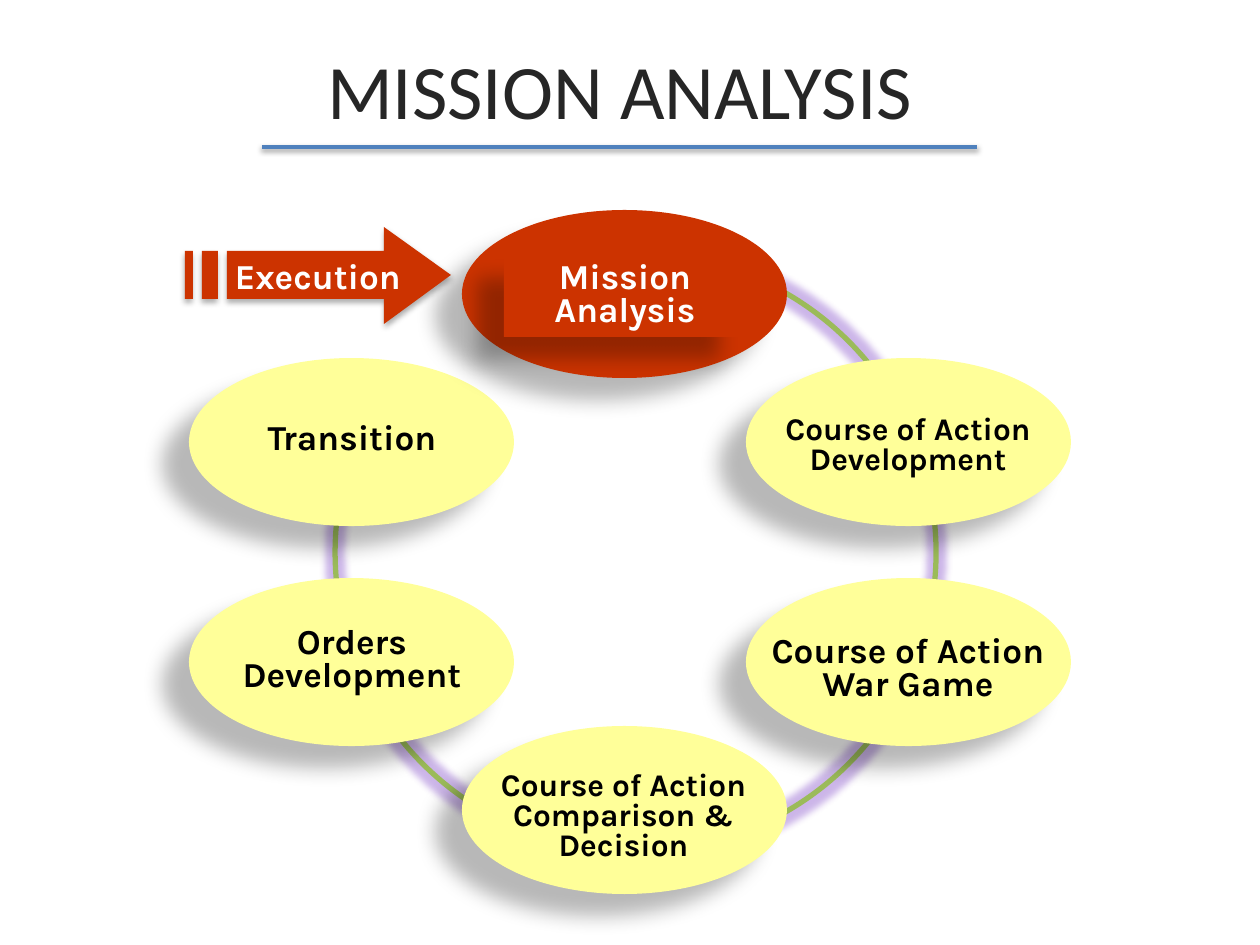
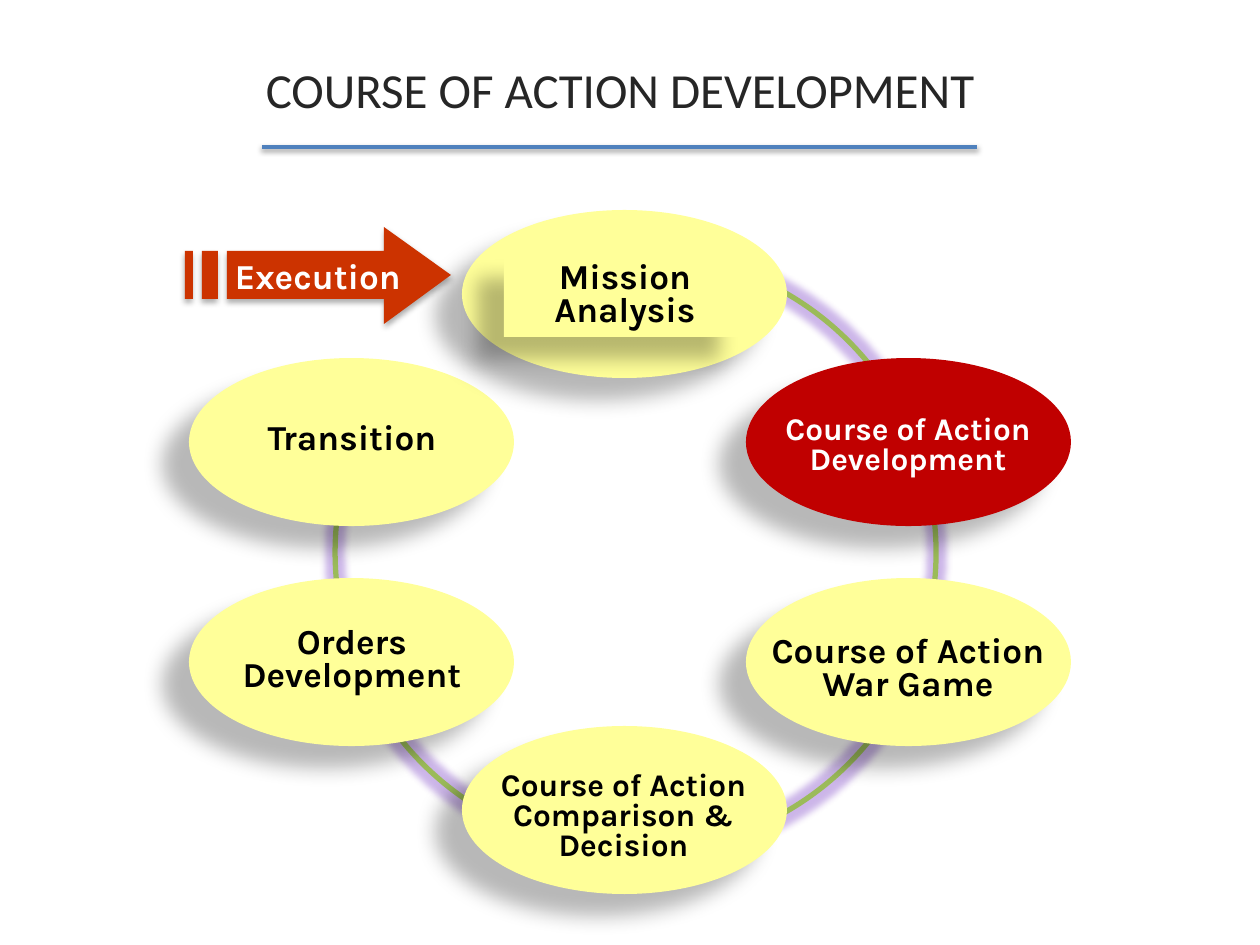
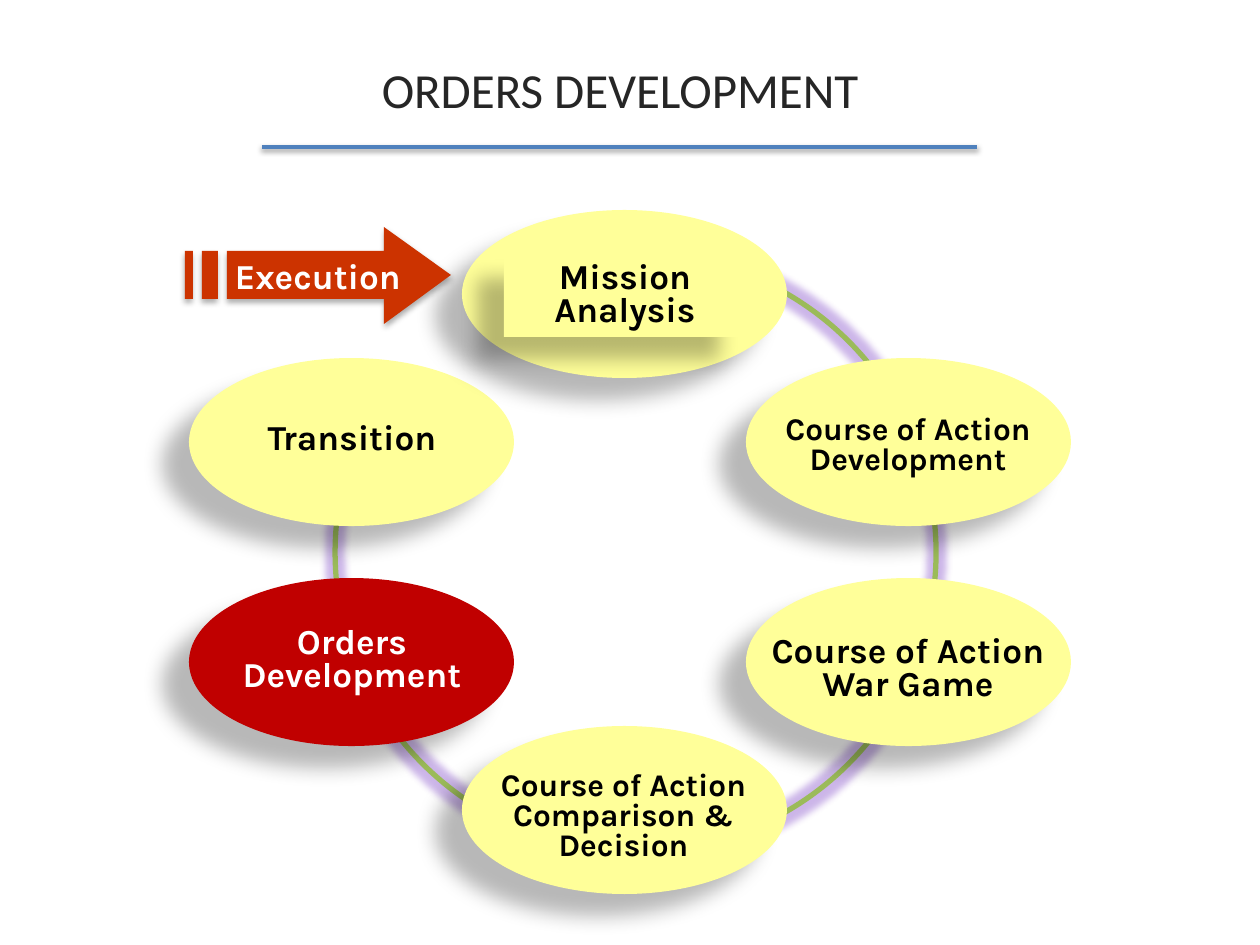
from lxml import etree
from pptx import Presentation
from pptx.dml.color import RGBColor
from pptx.enum.shapes import MSO_CONNECTOR, MSO_SHAPE
from pptx.enum.text import MSO_ANCHOR, MSO_AUTO_SIZE, PP_ALIGN
from pptx.oxml.ns import qn
from pptx.util import Pt

ARC, OVAL, RECTANGLE = MSO_SHAPE.ARC, MSO_SHAPE.OVAL, MSO_SHAPE.RECTANGLE
STRAIGHT = MSO_CONNECTOR.STRAIGHT
TOP, MIDDLE = MSO_ANCHOR.TOP, MSO_ANCHOR.MIDDLE
GROW = MSO_AUTO_SIZE.SHAPE_TO_FIT_TEXT
CENTER = PP_ALIGN.CENTER

# Content
PAGES = [  # title, title size, active step, its fill
    ("MISSION ANALYSIS", 44, "Mission Analysis", "orange"),
    ("COURSE OF ACTION DEVELOPMENT", 28, "Course of Action Development", "red"),
    ("ORDERS DEVELOPMENT", 28, "Orders Development", "red"),
]
STEPS = [  # label, size, oval position, label box
    ("Course of Action Development", 18, (746, 358), (735, 410, 346, 74)),
    ("Transition", 20, (189, 358), (179, 417, 346, 47)),
    ("Course of Action War Game", 20, (746, 578), (735, 630, 346, 81)),
    ("Orders Development", 20, (189, 578), (179, 621, 346, 81)),
    ("Course of Action Comparison & Decision", 18, (462, 726), (466, 766, 315, 105)),
]
FIRST_STEP = ("Mission Analysis", 20, (462, 210), (504, 256, 242, 81))
ENTRY_LABEL = "Execution"

# Shared style
COLORS = {
    "step": "FFFF99", "orange": "CC3300", "red": "C00000", "ring": "9BBB59",
    "glow": "8048C8", "rule": "4F81BD", "title": "262626",
    "black": "000000", "white": "FFFFFF",
}
TITLE_FONT, LABEL_FONT = "Calibri", "Karla"
STEP_SHADOW = (28, 11.8, 19.7, 141)  # opacity %, blur pt, distance pt, degrees
ENTRY_SHADOW = (32, 3.5, 2.2, 90)
RULE_SHADOW = (38, 3.1, 1.6, 90)

# Geometry in px
SCALE = 914400 / 126
PAGE_SIZE = (1260, 945)
TITLE_BOX = (53, 10, 1134, 158)
RULE = (262, 147, 977, 147)
RING_BOX = (336, 252, 599, 601)
RING_ANGLES = (164.2, 116.63)
OVAL_SIZE = (325, 168)
ENTRY_TOP, ENTRY_BOTTOM = 251, 299
ARROW_HEAD = [(384, ENTRY_TOP), (227, ENTRY_TOP), (227, ENTRY_BOTTOM),
              (384, ENTRY_BOTTOM), (384, 324), (451, 275)]
ENTRY_BARS = [(202, 218), (185, 193)]


def emu(*lengths):
    return [round(length * SCALE) for length in lengths]


def color(name):
    return RGBColor.from_string(COLORS[name])


def add_effect(shape, kind, color_name, opacity, **attributes):
    """Append one effect; call after the fill and line are set."""
    effects = etree.SubElement(shape._element.spPr, qn("a:effectLst"))
    effect = etree.SubElement(effects, qn(f"a:{kind}"),
                              {key: str(value) for key, value in attributes.items()})
    tint = etree.SubElement(effect, qn("a:srgbClr"), val=COLORS[color_name])
    etree.SubElement(tint, qn("a:alpha"), val=str(opacity * 1000))


def add_shadow(shape, opacity, blur, distance, degrees):
    add_effect(shape, "outerShdw", "black", opacity, blurRad=Pt(blur),
               dist=Pt(distance), dir=degrees * 60000, rotWithShape=0)


def paint(shape, fill, shadow):
    shape.fill.solid()
    shape.fill.fore_color.rgb = color(fill)
    shape.line.fill.background()
    add_shadow(shape, *shadow)


def write(shape, text, size, ink, font=LABEL_FONT, bold=True, anchor=TOP,
          wrap=True, spacing=None):
    frame = shape.text_frame
    frame.word_wrap = wrap
    frame.vertical_anchor = anchor
    para = frame.paragraphs[0]
    para.alignment = CENTER
    if spacing:
        para.line_spacing = spacing
    span = para.add_run()
    span.text = text
    span.font.name, span.font.size, span.font.bold = font, Pt(size), bold
    span.font.color.rgb = color(ink)


def add_title(page, title, size):
    box = page.shapes.title
    box.left, box.top, box.width, box.height = emu(*TITLE_BOX)
    write(box, title, size, "title", TITLE_FONT, bold=False, anchor=MIDDLE)
    rule = page.shapes.add_connector(STRAIGHT, *emu(*RULE))
    rule.line.color.rgb = color("rule")
    rule.line.width = Pt(2)
    add_shadow(rule, *RULE_SHADOW)


def add_ring(page):
    ring = page.shapes.add_shape(ARC, *emu(*RING_BOX))
    for index, angle in enumerate(RING_ANGLES):
        ring.adjustments[index] = angle * 0.6  # 60000ths over 100000ths
    ring.rotation = 90
    ring.fill.background()
    ring.line.color.rgb = color("ring")
    ring.line.width = Pt(3)
    add_effect(ring, "glow", "glow", 40, rad=Pt(8))


def add_step(shapes, step, active, active_fill, filled_label=False):
    label, size, position, label_box = step
    fill, ink = (active_fill, "white") if label == active else ("step", "black")
    oval = shapes.add_shape(OVAL, *emu(*position, *OVAL_SIZE))
    paint(oval, fill, STEP_SHADOW)
    if filled_label:
        box = shapes.add_shape(RECTANGLE, *emu(*label_box))
        paint(box, fill, STEP_SHADOW)
    else:
        box = shapes.add_textbox(*emu(*label_box))
    write(box, label, size, ink, spacing=0.8)
    box.text_frame.auto_size = GROW


def add_entry_arrow(page):
    bars = [[(left, ENTRY_TOP), (left, ENTRY_BOTTOM),
             (right, ENTRY_BOTTOM), (right, ENTRY_TOP)] for left, right in ENTRY_BARS]
    tip, *rest = ARROW_HEAD[0:1] + ARROW_HEAD[1:]
    upper_corner = (tip[0], 227)
    builder = page.shapes.build_freeform(*upper_corner, scale=SCALE)
    builder.add_line_segments([tip, *rest], close=True)
    for bar in bars:
        builder.move_to(*bar[0])
        builder.add_line_segments(bar[1:], close=True)
    arrow = builder.convert_to_shape()
    paint(arrow, "orange", ENTRY_SHADOW)
    write(arrow, ENTRY_LABEL, 20, "white", anchor=MIDDLE, wrap=False)


def main():
    deck = Presentation()
    deck.slide_width, deck.slide_height = emu(*PAGE_SIZE)
    for title, size, active, active_fill in PAGES:
        page = deck.slides.add_slide(deck.slide_layouts[5])
        add_ring(page)
        for step in STEPS:
            add_step(page.shapes, step, active, active_fill)
        group = page.shapes.add_group_shape()
        add_step(group.shapes, FIRST_STEP, active, active_fill, filled_label=True)
        add_entry_arrow(page)
        add_title(page, title, size)
    deck.save("out.pptx")


if __name__ == "__main__":
    main()
